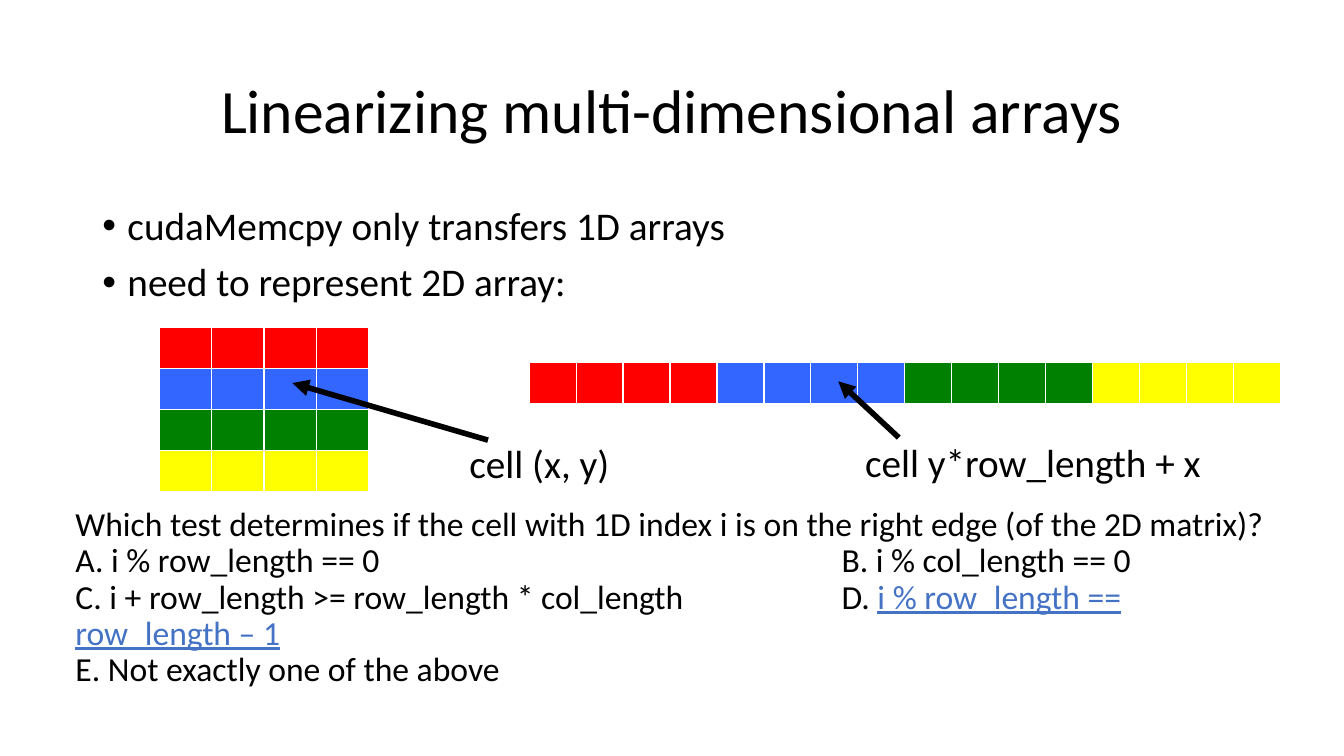
from dataclasses import dataclass

import pptx
import pptx.dml.color
import pptx.enum.shapes
import pptx.enum.text
import pptx.oxml.ns
import pptx.util
from lxml import etree

COLORS = {
    "text": "000000",
    "answer": "4472C4",
    "red": "FF0000",
    "blue": "3366FF",
    "green": "008000",
    "yellow": "FFFF00",
}
ROW_COLORS = ["red", "blue", "green", "yellow"]
FONT = "Calibri"
UNIT = pptx.util.Inches(1) / 12
COLUMNS, ROWS = 160, 90
ROW_LENGTH = 4
CELL_HEIGHT = 4.87
BULLET_INDENT = 3
ANSWER_TAB = 91.2


@dataclass
class Box:
    left: float
    top: float
    width: float
    height: float


@dataclass
class Label:
    text: str
    box: Box


@dataclass
class Arrow:
    tip: tuple[float, float]
    tail: tuple[float, float]


@dataclass
class Grid:
    left: float
    top: float
    cell_width: float
    fills: list[list[str]]


TITLE = Label("Linearizing multi-dimensional arrays", Box(11, 4.8, 138, 17.4))
BULLETS = ["cudaMemcpy only transfers 1D arrays", "need to represent 2D array:"]
BULLET_BOX = Box(11, 24, 138, 13.1)
MATRIX = Grid(19, 39, 6.22, [[c] * ROW_LENGTH for c in ROW_COLORS])
LINEAR = Grid(63, 43.2, 5.59, [[c for c in ROW_COLORS for _ in range(ROW_LENGTH)]])
LABELS = [
    Label("cell (x, y)", Box(54.7, 51.7, 19.3, 6.8)),
    Label("cell y*row_length + x", Box(101.8, 51.6, 42.8, 6.8)),
]
ARROWS = [
    Arrow((34.8, 45.6), (58.1, 52.4)),
    Arrow((99.8, 45.4), (107, 52.1)),
]
QUESTION_BOX = Box(7.8, 60.6, 144.8, 21.2)
QUESTION = [
    "Which test determines if the cell with 1D index i is on the right edge (of the 2D matrix)?",
    "A. i % row_length == 0\tB. i % col_length == 0",
    "C. i + row_length >= row_length * col_length\tD. ",
    "E. Not exactly one of the above",
]
ANSWER_LINE = 2
ANSWER = "i % row_length == row_length – 1"


def emu(cells: float) -> int:
    return round(cells * UNIT)


def place(box: Box) -> list[int]:
    return [emu(v) for v in (box.left, box.top, box.width, box.height)]


def rgb(name: str) -> pptx.dml.color.RGBColor:
    return pptx.dml.color.RGBColor.from_string(COLORS[name])


def add_child(parent, tag: str, **attrs: str):
    return etree.SubElement(parent, pptx.oxml.ns.qn(tag), attrs)


def style(p, size: float) -> None:
    p.font.name = FONT
    p.font.size = pptx.util.Pt(size)
    p.font.color.rgb = rgb("text")


def add_text(s, box: Box, lines: list[str], size: float, wrap: bool = True):
    tf = s.shapes.add_textbox(*place(box)).text_frame
    tf.word_wrap = wrap
    tf.text = "\n".join(lines)
    for p in tf.paragraphs:
        style(p, size)
    return tf


def add_title(s, label: Label) -> None:
    sp = s.shapes.title
    sp.left, sp.top, sp.width, sp.height = place(label.box)
    tf = sp.text_frame
    tf.text = label.text
    tf.vertical_anchor = pptx.enum.text.MSO_ANCHOR.MIDDLE
    p = tf.paragraphs[0]
    p.alignment = pptx.enum.text.PP_ALIGN.CENTER
    p.line_spacing = 0.9
    style(p, 44)


def add_bullets(s) -> None:
    for p in add_text(s, BULLET_BOX, BULLETS, 28).paragraphs:
        p.line_spacing = 0.9
        p.space_before = pptx.util.Pt(10)
        pPr = p._p.get_or_add_pPr()
        pPr.set("marL", str(emu(BULLET_INDENT)))
        pPr.set("indent", str(-emu(BULLET_INDENT)))
        bullet_font = etree.Element(pptx.oxml.ns.qn("a:buFont"), typeface="Arial")
        bullet = etree.Element(pptx.oxml.ns.qn("a:buChar"), char="•")
        pPr.find(pptx.oxml.ns.qn("a:defRPr")).addprevious(bullet_font)
        bullet_font.addnext(bullet)


def add_grid(s, grid: Grid) -> None:
    rows, cols = len(grid.fills), len(grid.fills[0])
    box = Box(grid.left, grid.top, cols * grid.cell_width, rows * CELL_HEIGHT)
    table = s.shapes.add_table(rows, cols, *place(box)).table
    table.first_row = False
    table.horz_banding = False
    for r, fills in enumerate(grid.fills):
        for c, name in enumerate(fills):
            cell = table.cell(r, c)
            cell.fill.solid()
            cell.fill.fore_color.rgb = rgb(name)


def add_arrow(s, arrow: Arrow) -> None:
    ends = [emu(v) for v in arrow.tip + arrow.tail]
    line = s.shapes.add_connector(pptx.enum.shapes.MSO_CONNECTOR.STRAIGHT, *ends)
    line.line.color.rgb = rgb("text")
    line.line.width = pptx.util.Pt(4)
    add_child(line.line._get_or_add_ln(), "a:headEnd", type="triangle")
    add_child(line._element.spPr, "a:effectLst")


def add_question(s) -> None:
    tf = add_text(s, QUESTION_BOX, QUESTION, 24)
    tf.vertical_anchor = pptx.enum.text.MSO_ANCHOR.MIDDLE
    for p in tf.paragraphs:
        p.line_spacing = 0.9
        tabs = etree.Element(pptx.oxml.ns.qn("a:tabLst"))
        add_child(tabs, "a:tab", pos=str(emu(ANSWER_TAB)), algn="l")
        p._p.get_or_add_pPr().find(pptx.oxml.ns.qn("a:defRPr")).addprevious(tabs)
    r = tf.paragraphs[ANSWER_LINE].add_run()
    r.text = ANSWER
    r.font.underline = True
    r.font.color.rgb = rgb("answer")


def main() -> None:
    prs = pptx.Presentation()
    prs.slide_width, prs.slide_height = emu(COLUMNS), emu(ROWS)
    s = prs.slides.add_slide(prs.slide_layouts.get_by_name("Title Only"))
    add_title(s, TITLE)
    add_bullets(s)
    for grid in (MATRIX, LINEAR):
        add_grid(s, grid)
    for label in LABELS:
        add_text(s, label.box, [label.text], 28, wrap=False)
    for arrow in ARROWS:
        add_arrow(s, arrow)
    add_question(s)
    prs.save("out.pptx")


if __name__ == "__main__":
    main()
